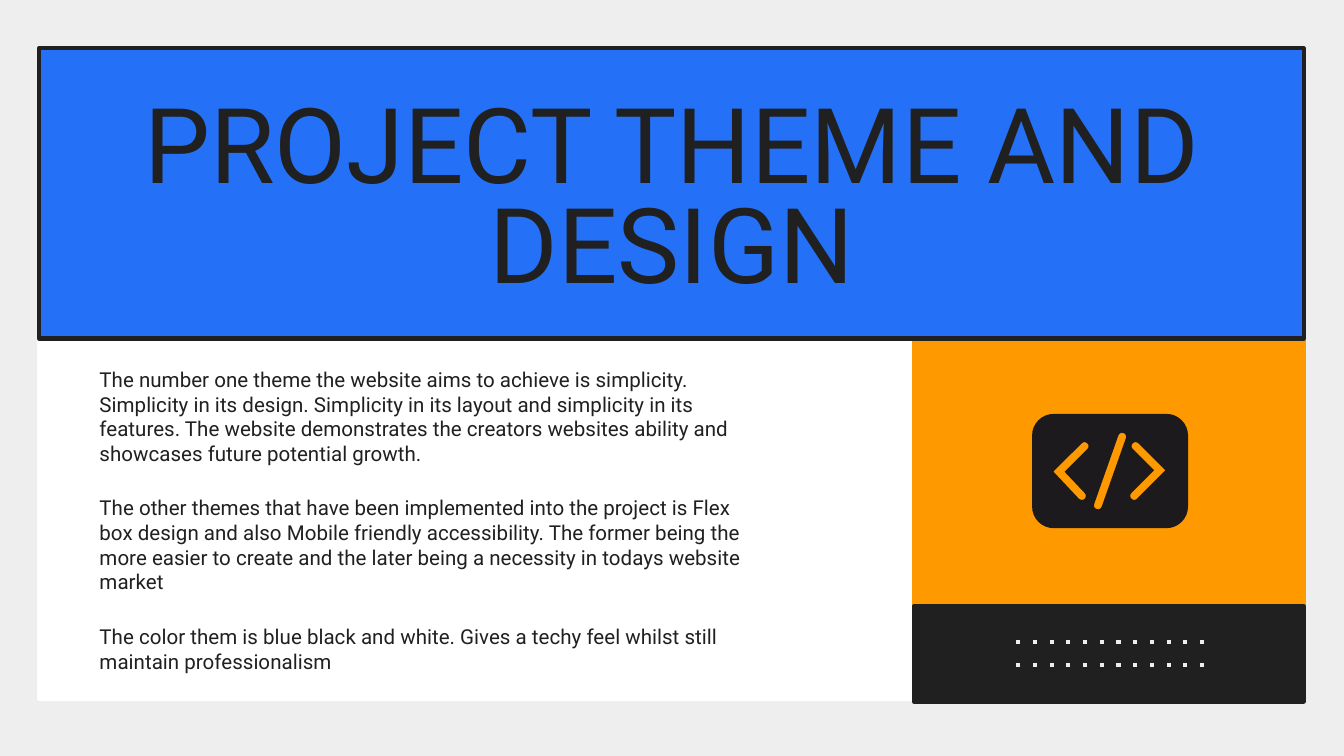
from math import cos, pi, sin

from lxml.etree import SubElement
from pptx import Presentation
from pptx.dml.color import RGBColor
from pptx.enum.shapes import MSO_CONNECTOR, MSO_SHAPE
from pptx.enum.text import MSO_ANCHOR, MSO_AUTO_SIZE, PP_ALIGN
from pptx.oxml.ns import qn
from pptx.util import Inches, Pt

# Content
TITLE = "PROJECT THEME AND DESIGN"
BODY = [
    "The number one theme the website aims to achieve is simplicity. "
    "Simplicity in its design. Simplicity in its layout and simplicity in its "
    "features. The website demonstrates the creators websites ability and "
    "showcases future potential growth.",
    "The other themes that have been implemented into the project is Flex box "
    "design and also Mobile friendly accessibility. The former being the more "
    "easier to create and the later being a necessity in todays website market",
    "The color them is blue black and white. Gives a techy feel whilst still "
    "maintain professionalism",
]

# Colours
PAPER = RGBColor(0xEE, 0xEE, 0xEE)
WHITE = RGBColor(0xFF, 0xFF, 0xFF)
ORANGE = RGBColor(0xFF, 0x99, 0x00)
BLUE = RGBColor(0x24, 0x71, 0xF7)
DARK = RGBColor(0x20, 0x20, 0x20)
INK = RGBColor(0x1D, 0x1A, 0x1E)

# Grid edges, in inches
LEFT, SPLIT, RIGHT = 0.29, 6.8, 9.7
TOP, MID, FOOT, BASE = 0.36, 2.52, 4.51, 5.2
PANELS = [  # left, top, right, bottom, fill, line
    (LEFT, TOP, RIGHT, BASE, WHITE, WHITE),
    (SPLIT, MID, RIGHT, BASE, ORANGE, ORANGE),
    (LEFT, TOP, RIGHT, MID, BLUE, DARK),
    (SPLIT, FOOT, RIGHT, BASE + 0.02, DARK, DARK),
]
BADGE = (7.68, 3.08, 8.84, 3.93)
CORNER, NIB = 0.16, 0.03
STROKES = [  # code sign: <, / and >, as x + y j
    [8.07 + 3.32j, 7.88 + 3.51j, 8.05 + 3.69j],
    [8.35 + 3.25j, 8.17 + 3.76j],
    [8.45 + 3.32j, 8.63 + 3.5j, 8.44 + 3.69j],
]
DOTS = (7.55, 8.96)
DOT_ROWS = (4.78, 4.95)

deck = Presentation()
deck.slide_width = Inches(10)
deck.slide_height = deck.slide_width * 9 // 16
slide = deck.slides.add_slide(deck.slide_layouts[5])
slide.background.fill.solid()
slide.background.fill.fore_color.rgb = PAPER
shapes = slide.shapes


def place(shape, left, top, width, height):
    shape.left, shape.top = Inches(left), Inches(top)
    shape.width, shape.height = Inches(width), Inches(height)


def box(left, top, right, bottom, fill, line):
    shape = shapes.add_shape(MSO_SHAPE.RECTANGLE, Inches(left), Inches(top),
                             Inches(right - left), Inches(bottom - top))
    shape.shadow.inherit = False
    shape.fill.solid()
    shape.fill.fore_color.rgb = fill
    shape.line.color.rgb = line
    shape.line.width = Pt(2.25)


def write(shape, texts, size, align=PP_ALIGN.LEFT, space=None, gap=0, inset=(0, 0, 0, 0)):
    frame = shape.text_frame
    frame.word_wrap = True
    frame.auto_size = MSO_AUTO_SIZE.NONE
    frame.vertical_anchor = MSO_ANCHOR.MIDDLE
    (frame.margin_left, frame.margin_top,
     frame.margin_right, frame.margin_bottom) = map(Inches, inset)
    for i, text in enumerate(texts):
        para = frame.add_paragraph() if i else frame.paragraphs[0]
        para.alignment = align
        para.line_spacing = space
        para.space_before = Pt(gap if i else 0)
        run = para.add_run()
        run.text = text
        run.font.size = Pt(size)
        run.font.name = "Roboto"
        run.font.color.rgb = DARK
    if gap:
        para.space_after = Pt(gap)


def arc(hub, ray, start, sweep, steps=8):
    turns = [start + sweep * i / steps for i in range(steps + 1)]
    return [hub + ray * complex(cos(t), sin(t)) for t in turns]


def rounded(left, top, right, bottom, r):
    hubs = [complex(right - r, bottom - r), complex(left + r, bottom - r),
            complex(left + r, top + r), complex(right - r, top + r)]
    return [p for i, hub in enumerate(hubs) for p in arc(hub, r, i * pi / 2, pi / 2)]


def outline(points, r):
    """Outline of a stroke with round ends and half width r."""
    edge = []
    for side in (points, points[::-1]):
        ways = [(b - a) / abs(b - a) for a, b in zip(side, side[1:])]
        edge += arc(side[0], r * ways[0], 3 * pi / 2, -pi)
        for knee, a, b in zip(side[1:], ways, ways[1:]):
            edge.append(knee + r * 1j * (a + b) / (1 + (a * b.conjugate()).real))
    return edge


# Panels
for panel in PANELS:
    box(*panel)

# Body text
body = shapes.add_textbox(0, 0, 0, 0)
place(body, 0.74, 2.66, 4.91, 2.42)
write(body, BODY, 11, gap=16, inset=(0, 0.1, 0.1, 0.1))

# Code badge: one outline with the sign cut out, in thousandths of an inch
rings = [rounded(*BADGE, CORNER)] + [outline(s, NIB) for s in STROKES]
rings = [[(p.real * 1000, p.imag * 1000) for p in ring] for ring in rings]
pen = shapes.build_freeform(*rings[0][0], scale=Inches(1) / 1000)
for ring in rings:
    if ring is not rings[0]:
        pen.move_to(*ring[0])
    pen.add_line_segments(ring[1:], close=True)
badge = pen.convert_to_shape()
badge.shadow.inherit = False
badge.fill.solid()
badge.fill.fore_color.rgb = INK
badge.line.fill.background()

# Dotted rows
for y in DOT_ROWS[::-1]:
    row = shapes.add_connector(MSO_CONNECTOR.STRAIGHT, Inches(DOTS[1]), Inches(y),
                               Inches(DOTS[0]), Inches(y))
    row.line.color.rgb = PAPER
    row.line.width = Pt(2.25)
    SubElement(row.line._get_or_add_ln(), qn("a:prstDash"), val="dot")
    SubElement(row._element.spPr, qn("a:effectLst"))

# Title, brought in front of the blue panel
title = shapes.title
place(title, 0.78, 0.51, 8.44, 2.01)
write(title, [TITLE], 56, align=PP_ALIGN.CENTER, space=0.8)
shapes._spTree.append(title._element)

deck.save("out.pptx")
